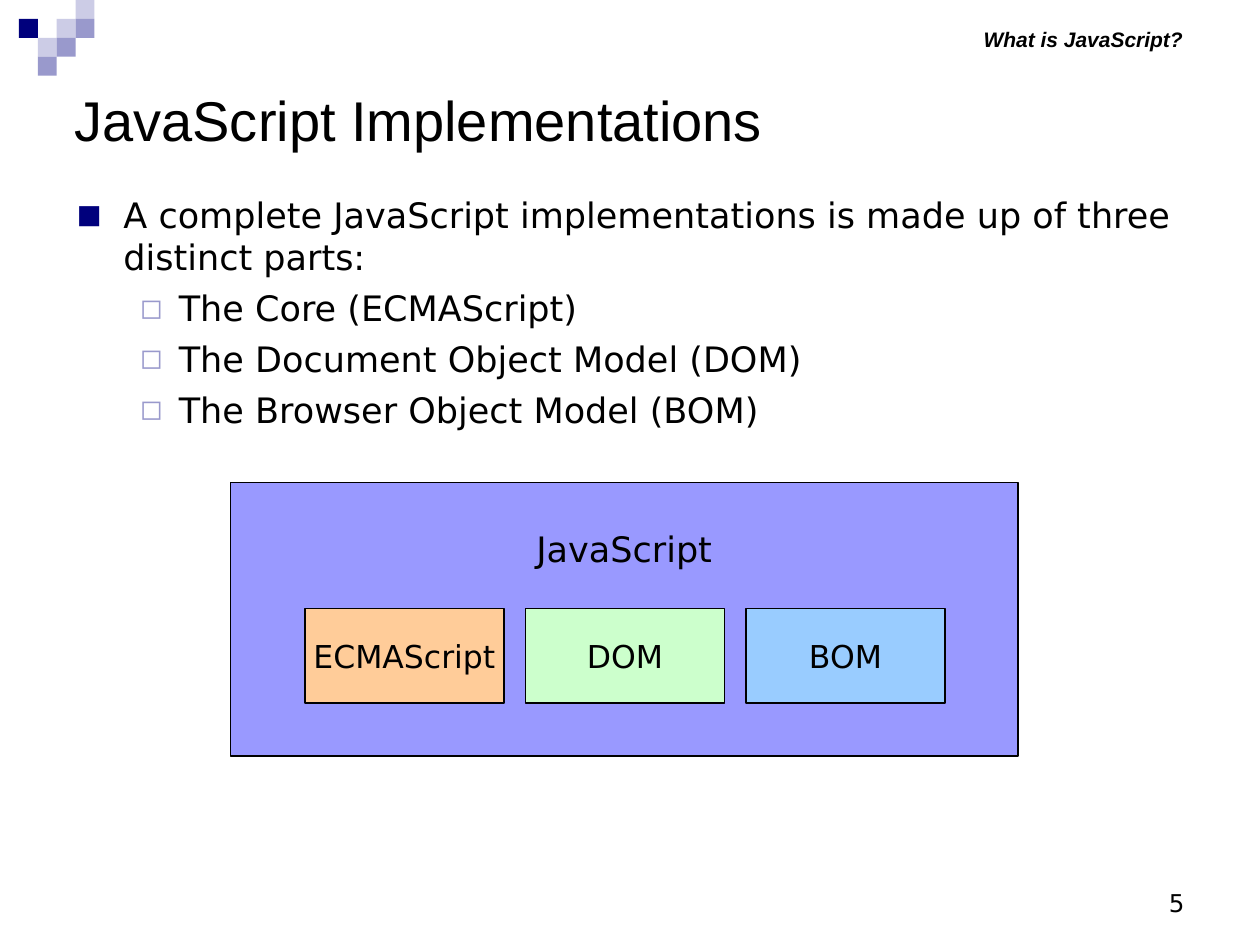
from lxml import etree
from pptx import Presentation
from pptx import util as u
from pptx.dml.color import RGBColor
from pptx.enum import shapes, text
from pptx.oxml import ns


def color(value):
    """Turn a hex string into a colour."""
    return RGBColor.from_string(value)


def write(para, words, size=20, font="DejaVu Sans", bold=False, italic=False,
          align=text.PP_ALIGN.LEFT, before=0):
    """Add formatted text to a paragraph."""
    para.alignment = align
    para.space_before = u.Pt(before)
    span = para.add_run()
    span.text = words
    span.font.size = u.Pt(size)
    span.font.name = font
    span.font.bold = bold
    span.font.italic = italic
    span.font.color.rgb = color("000000")


class Page:
    """Holds the style and the current slide."""

    line_color = "000000"
    bullets = [("■", "00007C", 75, 0.39, 0.37), ("◻", "9999CC", 80, 0.83, 0.31)]

    def __init__(self, deck):
        self.page = deck.slides.add_slide(deck.slide_layouts[5])

    def frame(self, box, top=0, anchor=text.MSO_ANCHOR.TOP):
        frame = box.text_frame
        frame.word_wrap = True
        frame.auto_size = text.MSO_AUTO_SIZE.NONE
        frame.vertical_anchor = anchor
        frame.margin_left = frame.margin_right = frame.margin_bottom = 0
        frame.margin_top = u.Inches(top)
        return frame

    def title(self, words, left, top, width, height):
        box = self.page.shapes.title
        box.left, box.top = u.Inches(left), u.Inches(top)
        box.width, box.height = u.Inches(width), u.Inches(height)
        write(self.frame(box, 0.01).paragraphs[0], words, size=32, font="Arial", before=1)

    def box(self, left, top, width, height, fill, outlined=True):
        box = self.page.shapes.add_shape(
            shapes.MSO_SHAPE.RECTANGLE, u.Inches(left), u.Inches(top),
            u.Inches(width), u.Inches(height))
        box.shadow.inherit = False
        box.fill.solid()
        box.fill.fore_color.rgb = color(fill)
        if outlined:
            box.line.color.rgb = color(self.line_color)
            box.line.width = u.Pt(1)
        else:
            box.line.fill.background()
        return box

    def label(self, box, words, size, top=0, anchor=text.MSO_ANCHOR.MIDDLE):
        para = self.frame(box, top, anchor).paragraphs[0]
        write(para, words, size=size, align=text.PP_ALIGN.CENTER)

    def text_box(self, left, top, width, height):
        return self.frame(self.page.shapes.add_textbox(
            u.Inches(left), u.Inches(top), u.Inches(width), u.Inches(height)), 0.01)

    def note(self, words, left, top, width, height, **style):
        write(self.text_box(left, top, width, height).paragraphs[0], words,
              align=text.PP_ALIGN.RIGHT, before=1, **style)

    def bullet(self, para, level):
        mark, tint, size, indent, hang = self.bullets[level]
        para.level = level
        props = para._p.get_or_add_pPr()
        props.set("marL", str(u.Inches(indent)))
        props.set("indent", str(-u.Inches(hang)))
        tinted = etree.SubElement(props, ns.qn("a:buClr"))
        etree.SubElement(tinted, ns.qn("a:srgbClr"), val=tint)
        etree.SubElement(props, ns.qn("a:buSzPct"), val=str(size * 1000))
        etree.SubElement(props, ns.qn("a:buFont"), typeface="DejaVu Sans")
        etree.SubElement(props, ns.qn("a:buChar"), char=mark)

    def bullet_list(self, items, left, top, width, height):
        frame = self.text_box(left, top, width, height)
        for index, (level, words) in enumerate(items):
            para = frame.add_paragraph() if index else frame.paragraphs[0]
            write(para, words, before=5 if level else 1)
            self.bullet(para, level)


def main():
    deck = Presentation()
    deck.slide_width, deck.slide_height = u.Inches(10), u.Inches(7.5)
    page = Page(deck)

    light, medium, dark = "CCCCE6", "9999CC", "00007C"
    unit = 0.15
    mosaic = [(3, 1, light), (4, 0, light), (4, 1, medium), (2, 2, light),
              (1, 1, dark), (3, 2, medium), (2, 3, medium)]
    for column, row, fill in mosaic:
        page.box(column * unit, row * unit, unit, unit, fill, outlined=False)

    page.title("JavaScript Implementations", 0.59, 0.67, 7.67, 0.57)
    page.bullet_list([
        (0, "A complete JavaScript implementations is made up of three distinct parts:"),
        (1, "The Core (ECMAScript)"),
        (1, "The Document Object Model (DOM)"),
        (1, "The Browser Object Model (BOM)"),
    ], 0.59, 1.53, 8.8, 2)

    whole = page.box(1.83, 3.83, 6.25, 2.17, "9999FF")
    page.label(whole, "JavaScript", 20, top=0.36, anchor=text.MSO_ANCHOR.TOP)
    parts = [("ECMAScript", "FFCC99"), ("DOM", "CCFFCC"), ("BOM", "99CCFF")]
    for index, (words, fill) in enumerate(parts):
        part = page.box(2.42 + index * 1.75, 4.83, 1.58, 0.75, fill)
        page.label(part, words, 18)

    page.note("5", 9.11, 7.04, 0.29, 0.27, size=14)
    page.note("What is JavaScript?", 7.6, 0.2, 1.79, 0.23,
              size=12, font="Arial", bold=True, italic=True)
    deck.save("out.pptx")


if __name__ == "__main__":
    main()
